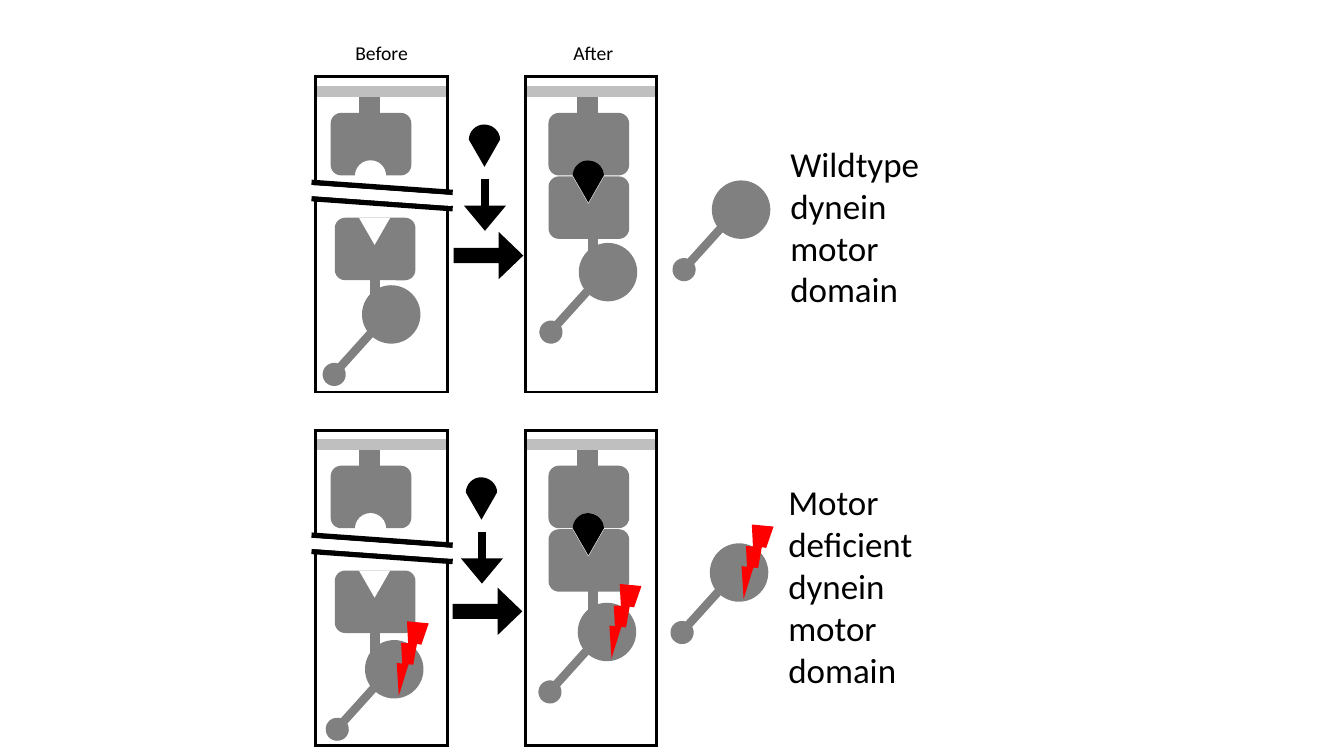
from lxml import etree
from pptx import Presentation
from pptx.dml.color import RGBColor
from pptx.enum import shapes, text
from pptx.oxml.ns import qn
from pptx.util import Inches, Pt

COLORS = {"protein": "808080", "membrane": "BFBFBF", "black": "000000",
          "white": "FFFFFF", "bolt": "FF0000"}
KIND = shapes.MSO_SHAPE

prs = Presentation()
prs.slide_width, prs.slide_height = Inches(13.33), Inches(7.5)
s = prs.slides.add_slide(prs.slide_layouts[6])


def add_filled(kind, x, y, w, h, color, rotation=0):
    sp = s.shapes.add_shape(kind, Inches(x), Inches(y), Inches(w), Inches(h))
    sp.shadow.inherit = False
    sp.fill.solid()
    sp.fill.fore_color.rgb = RGBColor.from_string(COLORS[color])
    sp.line.fill.background()
    sp.rotation = rotation
    return sp


def add_line(x1, y1, x2, y2, color, width):
    line = s.shapes.add_connector(shapes.MSO_CONNECTOR.STRAIGHT,
                                  Inches(x1), Inches(y1), Inches(x2), Inches(y2))
    line.line.color.rgb = RGBColor.from_string(COLORS[color])
    line.line.width = Pt(width)
    etree.SubElement(line._element.spPr, qn("a:effectLst"))
    return line


# Per row: top offset, frame top, whether the motor is broken, motor positions
# (before, after, legend), left edge of the free ligand, big arrow position
rows = [
    (0, 0.76, False, [(3.59, 2.83), (5.74, 2.41), (7.06, 1.79)], 4.65, (4.61, 2.19)),
    (3.5, 4.27, True, [(3.62, 6.35), (5.73, 5.98), (7.04, 5.39)], 4.62, (4.6, 5.72)),
]
# Per column: frame left, frame width, stem x, upper block left,
# lower block left and top, neck x and top
columns = [
    (3.13, 1.31, 3.66, 3.28, 3.32, 2.16, 3.72, 2.77),
    (5.21, 1.3, 5.83, 5.44, 5.44, 1.75, 5.88, 2.29),
]
# Ligand cap: start point, then three curves of three points each
CAP = [(0, 0.15), (0, 0.07), (0.07, 0), (0.15, 0), (0.24, 0), (0.31, 0.07),
       (0.31, 0.15), (0.28, 0.18), (0.02, 0.18), (0, 0.15)]

for dy, frame_y, broken, motors, ligand_x, (arrow_x, arrow_y) in rows:
    for frame_x, frame_w, stem_x, upper_x, lower_x, lower_y, neck_x, neck_y in columns:
        add_line(stem_x, 0.91 + dy, stem_x, 1.15 + dy, "protein", 15)
        add_line(frame_x, 0.91 + dy, frame_x + frame_w, 0.91 + dy, "membrane", 7.5)
        frame = add_filled(KIND.RECTANGLE, frame_x, frame_y, frame_w, 3.13, "white")
        frame.fill.background()
        frame.line.color.rgb = RGBColor.from_string(COLORS["black"])
        frame.line.width = Pt(2)
        etree.SubElement(frame.line._get_or_add_ln(), qn("a:miter"), lim="800000")

        add_filled(KIND.ROUNDED_RECTANGLE, upper_x, 1.12 + dy, 0.8, 0.62, "protein")
        add_filled(KIND.OVAL, upper_x + 0.24, 1.59 + dy, 0.31, 0.31, "white")
        add_filled(KIND.ROUNDED_RECTANGLE, lower_x, lower_y + dy, 0.8, 0.62, "protein", 180)
        add_filled(KIND.ISOSCELES_TRIANGLE, lower_x + 0.24, lower_y + dy, 0.31, 0.27,
                   "white", 180)
        add_line(neck_x, neck_y + dy, neck_x, neck_y + 0.28 + dy, "protein", 7.5)

    # Slanted break across the "before" frame
    for x, y, color, width in [(3.09, 1.97, "black", 4), (3.09, 1.81, "black", 4),
                               (3.08, 1.89, "white", 7.75)]:
        add_line(x, y + dy, x + 1.4, y + 0.1 + dy, color, width)

    # Ligand: a triangle with a domed cap, bound and free
    for x, y in [(5.68, 1.59 + dy), (ligand_x, 1.235 + dy)]:
        add_filled(KIND.ISOSCELES_TRIANGLE, x, y + 0.15, 0.31, 0.27, "black", 180)
        outline = [(Inches(x + px), Inches(y + py)) for px, py in CAP]
        builder = s.shapes.build_freeform(*outline[0])
        builder.add_line_segments(outline[1:], close=True)
        cap = builder.convert_to_shape()
        cap.shadow.inherit = False
        cap.fill.solid()
        cap.fill.fore_color.rgb = RGBColor.from_string(COLORS["black"])
        cap.line.fill.background()
        # Turn each three straight segments into one cubic curve
        segments = list(cap._element.iter(qn("a:lnTo")))
        for i in range(0, len(segments), 3):
            curve = etree.Element(qn("a:cubicBezTo"))
            segments[i].addprevious(curve)
            for segment in segments[i:i + 3]:
                curve.append(segment[0])
                segment.getparent().remove(segment)

    for x, y in motors:
        add_filled(KIND.OVAL, x, y, 0.58, 0.58, "protein", 21.5)
        add_line(x + 0.21, y + 0.34, x - 0.25, y + 0.85, "protein", 6)
        add_filled(KIND.OVAL, x - 0.39, y + 0.77, 0.23, 0.23, "protein", 21.5)
        if broken:
            add_filled(KIND.LIGHTNING_BOLT, x + 0.2, y - 0.23, 0.44, 0.73, "bolt", 42.6)

    arrow = add_filled(KIND.DOWN_ARROW, arrow_x, arrow_y, 0.47, 0.69, "black", 270)
    arrow.adjustments[0], arrow.adjustments[1] = 0.32, 0.52
    down = add_line(ligand_x + 0.16, 1.775 + dy, ligand_x + 0.16, 2.29 + dy, "black", 6)
    etree.SubElement(down.line._get_or_add_ln(), qn("a:tailEnd"),
                     type="triangle", w="lg", len="med")

labels = [
    (3.42, 0.36, 0.73, 0.34, 14, text.PP_ALIGN.CENTER, ["Before"]),
    (5.58, 0.36, 0.61, 0.34, 14, text.PP_ALIGN.CENTER, ["After"]),
    (7.74, 1.36, 1.5, 1.78, 25, text.PP_ALIGN.LEFT,
     ["Wildtype", "dynein", "motor", "domain"]),
    (7.72, 4.72, 1.45, 2.2, 25, text.PP_ALIGN.LEFT,
     ["Motor", "deficient", "dynein", "motor", "domain"]),
]
for x, y, w, h, size, align, lines in labels:
    tf = s.shapes.add_textbox(Inches(x), Inches(y), Inches(w), Inches(h)).text_frame
    tf.word_wrap = False
    tf.auto_size = text.MSO_AUTO_SIZE.SHAPE_TO_FIT_TEXT
    tf.text = "\n".join(lines)
    for p in tf.paragraphs:
        p.alignment = align
        p.font.name = "Calibri"
        p.font.size = Pt(size)
        p.font.color.rgb = RGBColor.from_string(COLORS["black"])

prs.save("out.pptx")
